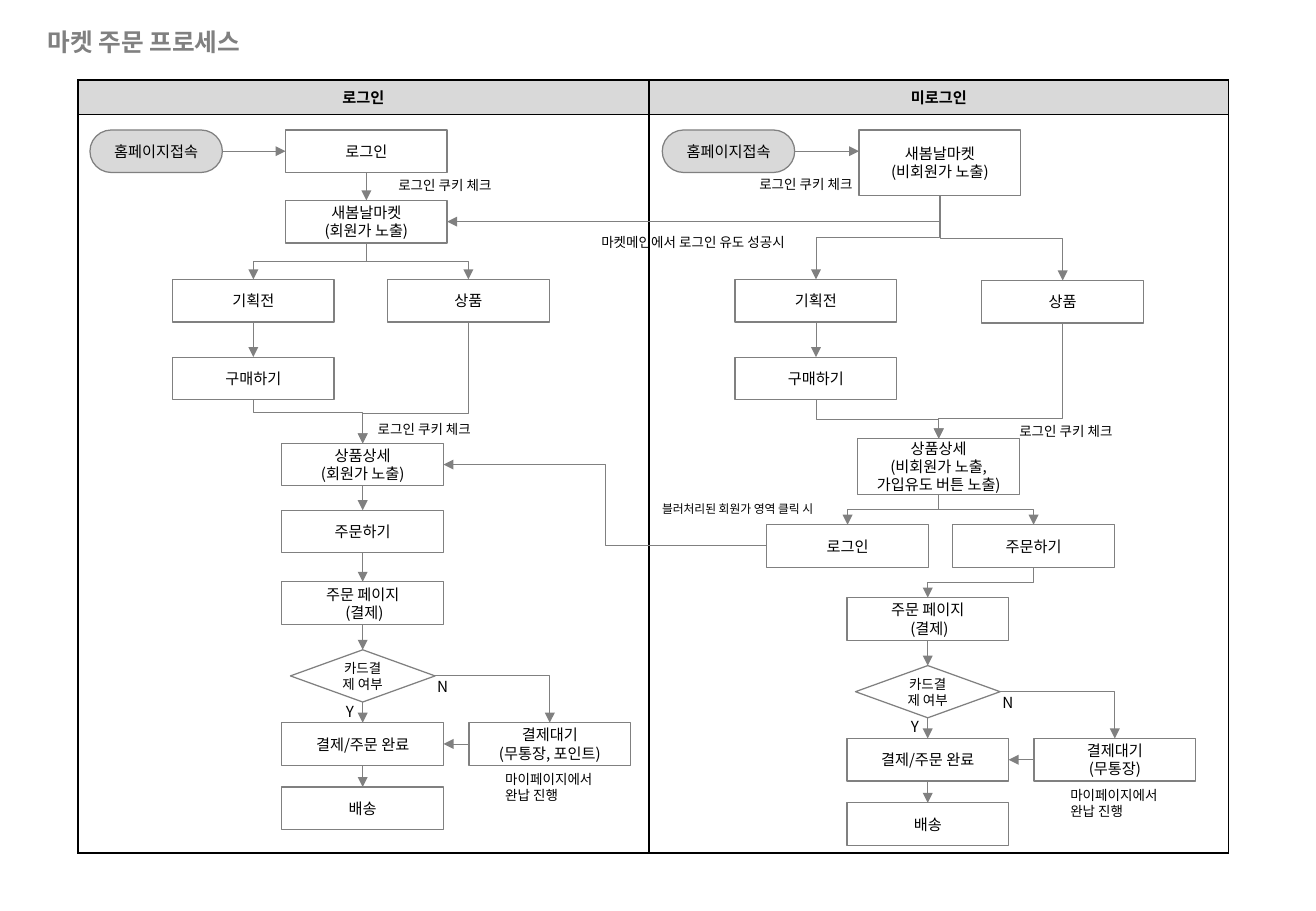
"""Build the market order process flowchart for members and guests."""
from lxml import etree
from pptx import Presentation
from pptx.dml.color import RGBColor
from pptx.enum.shapes import MSO_CONNECTOR, MSO_SHAPE
from pptx.enum.text import MSO_ANCHOR, PP_ALIGN
from pptx.oxml.ns import qn
from pptx.util import Inches, Pt

PROCESS = MSO_SHAPE.FLOWCHART_PROCESS
TERMINATOR = MSO_SHAPE.FLOWCHART_TERMINATOR
DECISION = MSO_SHAPE.FLOWCHART_DECISION
STRAIGHT, ELBOW = MSO_CONNECTOR.STRAIGHT, MSO_CONNECTOR.ELBOW
LEFT, CENTER = PP_ALIGN.LEFT, PP_ALIGN.CENTER
MIDDLE = MSO_ANCHOR.MIDDLE
BLACK = RGBColor(0x00, 0x00, 0x00)
GRAY = RGBColor(0x80, 0x80, 0x80)
PALE = RGBColor(0xD9, 0xD9, 0xD9)
WHITE = RGBColor(0xFF, 0xFF, 0xFF)
FONT = "Noto Sans CJK KR"
TOP, WEST, BOTTOM, EAST = range(4)
BOX_W, BOX_H = 1.33, 0.35


def write_text(frame, paragraphs, size, align=LEFT, color=BLACK, bold=False):
    """Fill a text frame; a newline inside a paragraph becomes a line break."""
    for index, text in enumerate(paragraphs):
        para = frame.paragraphs[0] if index == 0 else frame.add_paragraph()
        para.alignment = align
        for row, line in enumerate(text.split("\n")):
            if row:
                para.add_line_break()
            span = para.add_run()
            span.text = line
            span.font.size = Pt(size)
            span.font.bold = bold
            span.font.color.rgb = color
            span.font.name = FONT
            etree.SubElement(span.font._element, qn("a:ea"), typeface=FONT)


def side_point(shape, side):
    """Return the middle of one side of a shape."""
    across = (0.5, 0, 0.5, 1)[side]
    down = (0, 0.5, 1, 0.5)[side]
    return int(shape.left + shape.width * across), int(shape.top + shape.height * down)


deck = Presentation()
deck.slide_width, deck.slide_height = Inches(10.83), Inches(7.5)
page = deck.slides.add_slide(deck.slide_layouts[6])

table = page.shapes.add_table(2, 2, Inches(0.64), Inches(0.66), Inches(9.47), Inches(6.36)).table
table.first_row = table.horz_banding = False
for column, width in zip(table.columns, (4.7, 4.77)):
    column.width = Inches(width)
for row, height in zip(table.rows, (0.28, 6.08)):
    row.height = Inches(height)
for cell in table.iter_cells():
    properties = cell._tc.get_or_add_tcPr()
    for edge in ("a:lnL", "a:lnR", "a:lnT", "a:lnB"):
        border = etree.SubElement(properties, qn(edge), w=str(Pt(1)))
        paint = etree.SubElement(border, qn("a:solidFill"))
        etree.SubElement(paint, qn("a:srgbClr"), val=str(BLACK))
    cell.fill.background()
for cell, heading in zip(table.rows[0].cells, ("로그인", "미로그인")):
    cell.fill.solid()
    cell.fill.fore_color.rgb = PALE
    cell.vertical_anchor = MIDDLE
    write_text(cell.text_frame, [heading], 9, CENTER, bold=True)

title = page.shapes.add_textbox(Inches(0.39), Inches(0.18), Inches(2.62), Inches(0.32)).text_frame
title.margin_left = title.margin_right = title.margin_top = title.margin_bottom = 0
title.word_wrap = True
title.vertical_anchor = MIDDLE
write_text(title, ["마켓 주문 프로세스"], 14.6, color=GRAY, bold=True)

nodes = [
    ("member start", TERMINATOR, 0.74, 1.07, 1.09, BOX_H, ["홈페이지접속"]),
    ("member login", PROCESS, 2.35, 1.07, BOX_W, BOX_H, ["로그인"]),
    ("member market", PROCESS, 2.35, 1.65, BOX_W, BOX_H, ["새봄날마켓\n(회원가 노출)"]),
    ("member event", PROCESS, 1.42, 2.3, BOX_W, BOX_H, ["기획전"]),
    ("member goods", PROCESS, 3.19, 2.3, BOX_W, BOX_H, ["상품"]),
    ("member buy", PROCESS, 1.42, 2.94, BOX_W, BOX_H, ["구매하기"]),
    ("member detail", PROCESS, 2.32, 3.65, BOX_W, BOX_H, ["상품상세", "(회원가 노출)"]),
    ("member order", PROCESS, 2.32, 4.2, BOX_W, BOX_H, ["주문하기"]),
    ("guest start", TERMINATOR, 5.45, 1.07, 1.09, BOX_H, ["홈페이지접속"]),
    ("guest market", PROCESS, 7.07, 1.07, BOX_W, 0.54, ["새봄날마켓", "(비회원가 노출)"]),
    ("guest event", PROCESS, 6.05, 2.3, BOX_W, BOX_H, ["기획전"]),
    ("guest goods", PROCESS, 8.08, 2.31, BOX_W, BOX_H, ["상품"]),
    ("guest buy", PROCESS, 6.05, 2.94, BOX_W, BOX_H, ["구매하기"]),
    ("guest detail", PROCESS, 7.06, 3.61, BOX_W, 0.46, ["상품상세", "(비회원가 노출, 가입유도 버튼 노출)"]),
    ("guest login", PROCESS, 6.31, 4.32, BOX_W, BOX_H, ["로그인"]),
    ("guest order", PROCESS, 7.84, 4.32, BOX_W, BOX_H, ["주문하기"]),
]
labels = [
    (3.18, 1.41, 1.2, 8, ["로그인 쿠키 체크"]),
    (3.01, 3.42, 1.2, 8, ["로그인 쿠키 체크"]),
    (6.15, 1.4, 1.12, 8, ["로그인 쿠키 체크"]),
    (8.29, 3.43, 1.2, 8, ["로그인 쿠키 체크"]),
    (4.85, 1.88, 2.41, 8, ["마켓메인에서 로그인 유도 성공시"]),
    (5.35, 4.08, 1.71, 7, ["블러처리된 회원가 영역 클릭 시"]),
]
straight_links = [
    ("member start", EAST, "member login", WEST),
    ("member login", BOTTOM, "member market", TOP),
    ("member event", BOTTOM, "member buy", TOP),
    ("member detail", BOTTOM, "member order", TOP),
    ("member order", BOTTOM, "member sheet", TOP),
    ("guest event", BOTTOM, "guest buy", TOP),
]
elbow_links = [
    ("member market", BOTTOM, "member event", TOP, 0.5),
    ("member market", BOTTOM, "member goods", TOP, 0.5),
    ("member buy", BOTTOM, "member detail", TOP, 0.29),
    ("member goods", BOTTOM, "member detail", TOP, 0.75),
    ("guest market", BOTTOM, "guest event", TOP, 0.5),
    ("guest market", BOTTOM, "guest goods", TOP, 0.5),
    ("guest market", BOTTOM, "member market", EAST, None),
    ("guest buy", BOTTOM, "guest detail", TOP, 0.5),
    ("guest goods", BOTTOM, "guest detail", TOP, 0.83),
    ("guest detail", BOTTOM, "guest login", TOP, 0.5),
    ("guest detail", BOTTOM, "guest order", TOP, 0.5),
    ("guest login", WEST, "member detail", EAST, 0.5),
    ("guest order", BOTTOM, "guest sheet", TOP, 0.5),
]
for who, x, y, waiting in (("member", 2.32, 4.79, "(무통장, 포인트)"), ("guest", 6.97, 4.92, "(무통장)")):
    sheet, card, wait, done, ship = (f"{who} {step}" for step in ("sheet", "card", "wait", "done", "ship"))
    nodes += [
        (sheet, PROCESS, x, y, BOX_W, BOX_H, ["주문 페이지\n (결제)"]),
        (card, DECISION, x + 0.07, y + 0.56, 1.19, 0.43, ["카드결제 여부"]),
        (wait, PROCESS, x + 1.54, y + 1.16, BOX_W, BOX_H, ["결제대기", waiting]),
        (done, PROCESS, x, y + 1.16, BOX_W, BOX_H, ["결제/주문 완료"]),
        (ship, PROCESS, x, y + 1.69, BOX_W, BOX_H, ["배송"]),
    ]
    labels += [
        (x + 1.18, y + 0.74, 0.34, 9, ["N"]),
        (x + 0.39, y + 0.94, 0.34, 9, ["Y"]),
        (x + 1.74, y + 1.51, 1.2, 8, ["마이페이지에서", "완납 진행"]),
    ]
    straight_links += [
        (sheet, BOTTOM, card, TOP),
        (card, BOTTOM, done, TOP),
        (wait, WEST, done, EAST),
        (done, BOTTOM, ship, TOP),
    ]
    elbow_links.append((card, EAST, wait, TOP, None))

shapes = {}
for name, kind, x, y, width, height, text in nodes:
    shape = page.shapes.add_shape(kind, Inches(x), Inches(y), Inches(width), Inches(height))
    shape.shadow.inherit = False
    shape.fill.solid()
    shape.fill.fore_color.rgb = PALE if kind == TERMINATOR else WHITE
    shape.line.color.rgb = GRAY
    shape.line.width = Pt(0.75)
    shape.text_frame.word_wrap = True
    shape.text_frame.vertical_anchor = MIDDLE
    write_text(shape.text_frame, text, 8 if kind == DECISION else 9, CENTER)
    shapes[name] = shape

connectors = []
for start, start_side, end, end_side in straight_links:
    connector = page.shapes.add_connector(STRAIGHT, 0, 0, 0, 0)
    connector.begin_connect(shapes[start], start_side)
    connector.end_connect(shapes[end], end_side)
    connectors.append(connector)

x, y = side_point(shapes["guest start"], EAST)
connector = page.shapes.add_connector(STRAIGHT, x, y, shapes["guest market"].left, y)
connector.begin_connect(shapes["guest start"], EAST)
connectors.append(connector)

for start, start_side, end, end_side, bend in elbow_links:
    x1, y1 = side_point(shapes[start], start_side)
    x2, y2 = side_point(shapes[end], end_side)
    turned, rightward = start_side == BOTTOM, x2 > x1
    if turned:
        middle_x, middle_y = (x1 + x2) // 2, (y1 + y2) // 2
        half_w, half_h = (y2 - y1) // 2, abs(x2 - x1) // 2
        flip = -1 if rightward else 1
        x1, x2 = middle_x - flip * half_w, middle_x + flip * half_w
        y1, y2 = middle_y - half_h, middle_y + half_h
    connector = page.shapes.add_connector(ELBOW, x1, y1, x2, y2)
    properties = connector._element.spPr
    if turned:
        properties.find(qn("a:xfrm")).set("rot", "16200000" if rightward else "5400000")
    geometry = properties.find(qn("a:prstGeom"))
    if bend is None:
        geometry.set("prst", "bentConnector2")
    else:
        guides = geometry.find(qn("a:avLst"))
        etree.SubElement(guides, qn("a:gd"), name="adj1", fmla=f"val {round(bend * 100000)}")
    connectors.append(connector)

for connector in connectors:
    connector.line.color.rgb = GRAY
    connector.line.width = Pt(0.5)
    properties = connector._element.spPr
    etree.SubElement(properties.find(qn("a:ln")), qn("a:tailEnd"), type="triangle")
    etree.SubElement(properties, qn("a:effectLst"))

for x, y, width, size, text in labels:
    box = page.shapes.add_textbox(Inches(x), Inches(y), Inches(width), Inches(0.25 * len(text)))
    box.text_frame.word_wrap = True
    write_text(box.text_frame, text, size, CENTER if text == ["Y"] else LEFT)

deck.save("out.pptx")
